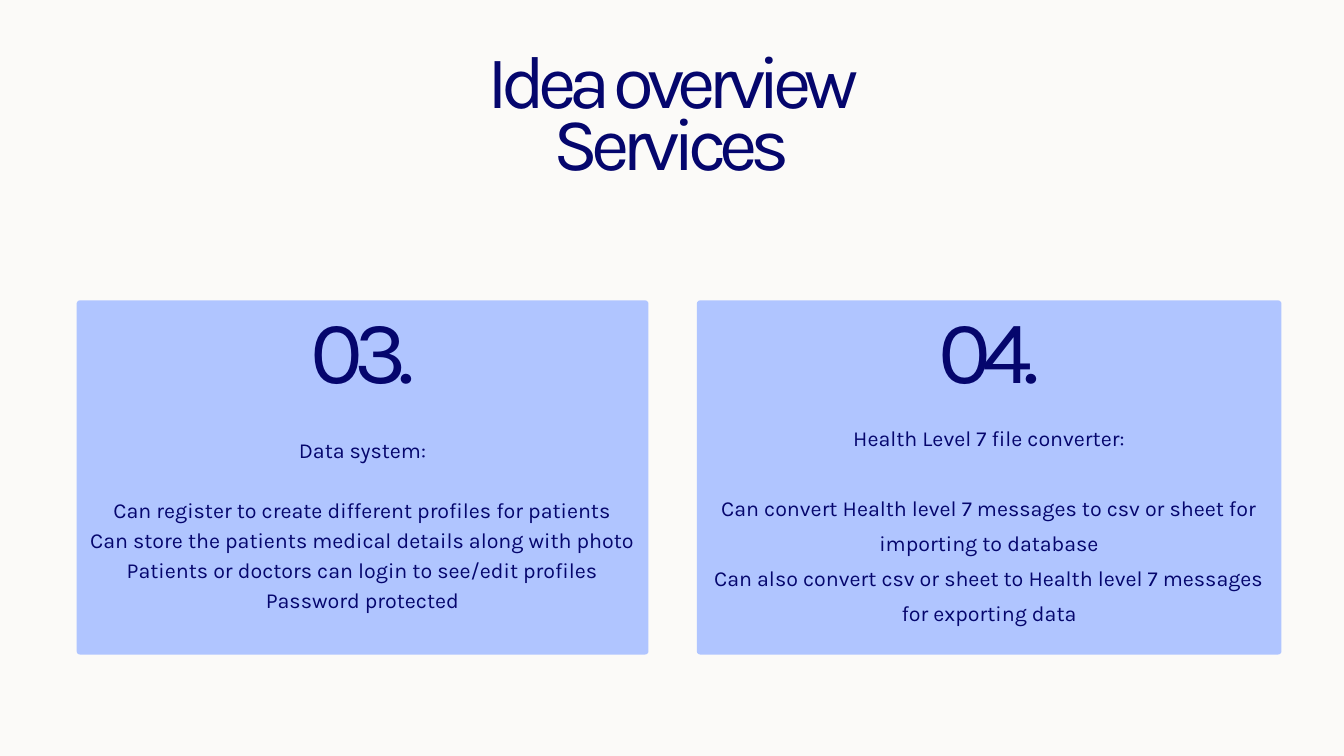
import pptx
import pptx.util
import pptx.dml.color
import pptx.enum.shapes
import pptx.enum.text

COLORS = {"paper": "FBFAF8", "card": "B0C5FF", "ink": "05066D"}
COLS, ROWS = 20, 11.25


def rgb(name):
    return pptx.dml.color.RGBColor.from_string(COLORS[name])


def write(par, text, size=23, line=32.2, track=0, before=0):
    """Put one centred line of text in a paragraph; measures in points."""
    par.alignment = pptx.enum.text.PP_ALIGN.CENTER
    par.line_spacing = pptx.util.Pt(line)
    par.space_before = pptx.util.Pt(before)
    run = par.add_run()
    run.text = text
    run.font.name = "Karla"
    run.font.size = pptx.util.Pt(size)
    run.font.color.rgb = rgb("ink")
    if track:
        run._r.get_or_add_rPr().set("spc", str(round(track * 100)))


class Deck:
    def __init__(self):
        self.prs = pptx.Presentation()
        self.prs.slide_width = pptx.util.Inches(20)
        self.prs.slide_height = pptx.util.Inches(11.25)
        self.slide = self.prs.slides.add_slide(self.prs.slide_layouts[6])
        fill = self.slide.background.fill
        fill.solid()
        fill.fore_color.rgb = rgb("paper")

    def place(self, col, row, wide, high):
        """Turn grid columns and rows into slide lengths."""
        cell_w = self.prs.slide_width / COLS
        cell_h = self.prs.slide_height / ROWS
        return [round(n) for n in
                (col * cell_w, row * cell_h, wide * cell_w, high * cell_h)]

    def text(self, mid, row, wide, high, lines, gap=0, **style):
        """Text box centred on a column; gap follows the first line."""
        box = self.slide.shapes.add_textbox(
            *self.place(mid - wide / 2, row, wide, high))
        frame = box.text_frame
        frame.word_wrap = True
        frame.margin_left = frame.margin_right = 0
        frame.margin_top = frame.margin_bottom = 0
        for i, line in enumerate(lines):
            par = frame.add_paragraph() if i else frame.paragraphs[0]
            write(par, line, before=gap if i == 1 else 0, **style)

    def panel(self, col, row, wide, high):
        kind = pptx.enum.shapes.MSO_SHAPE.ROUNDED_RECTANGLE
        box = self.slide.shapes.add_shape(
            kind, *self.place(col, row, wide, high))
        box.adjustments[0] = 0.05 / high
        box.shadow.inherit = False
        box.fill.solid()
        box.fill.fore_color.rgb = rgb("card")
        box.line.fill.background()

    def card(self, col, wide, number, top, body_w, pitch, lines):
        """Panel with a large number and a heading over its details."""
        mid = col + wide / 2
        self.panel(col, 4.47, wide, 5.27)
        self.text(mid, 4.7, 1.91, 1.36, [number],
                  size=95.6, line=91.7, track=-9.2)
        self.text(mid, top, body_w, 9.74 - top, lines, gap=pitch, line=pitch)


def main():
    deck = Deck()

    # Title
    title = {"size": 80, "track": -7.7}
    deck.text(10.02, 0.28, 6.38, 1.44, ["Idea overview"], line=112, **title)
    deck.text(10, 1.69, 11.63, 1.14, ["Services"], line=76.8, **title)

    # Service cards
    deck.card(1.14, 8.51, "03.", 6.44, 8.39, 32.2, [
        "Data system:",
        "Can register to create different profiles for patients",
        "Can store the patients medical details along with photo",
        "Patients or doctors can login to see/edit profiles",
        "Password protected",
    ])
    deck.card(10.37, 8.7, "04.", 6.19, 8.31, 37.5, [
        "Health Level 7 file converter:",
        "Can convert Health level 7 messages to csv or sheet for "
        "importing to database",
        "Can also convert csv or sheet to Health level 7 messages "
        "for exporting data",
    ])

    deck.prs.save("out.pptx")


if __name__ == "__main__":
    main()
